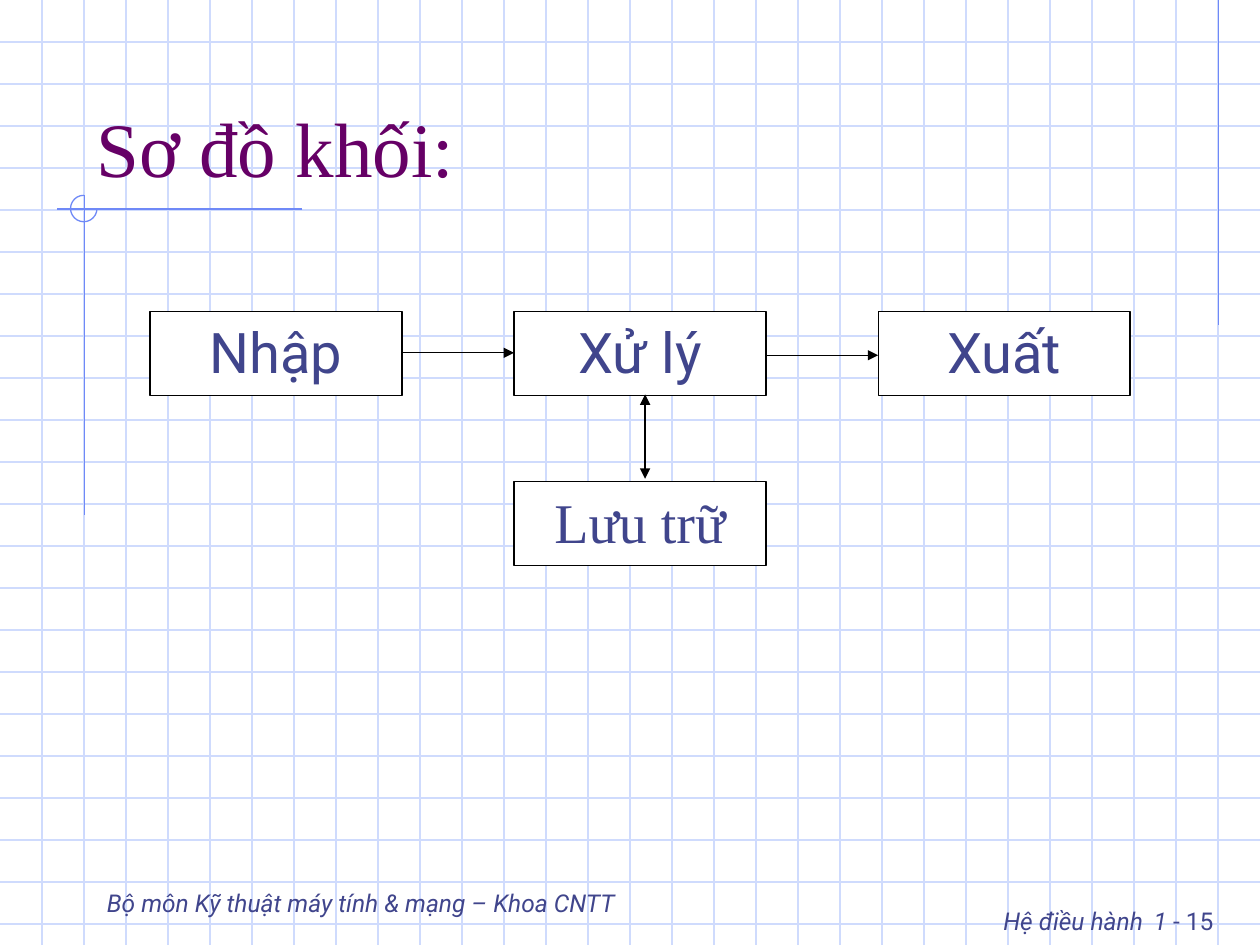
from pptx import Presentation
from pptx.dml.color import RGBColor
from pptx.enum.shapes import MSO_CONNECTOR, MSO_SHAPE
from pptx.enum.text import MSO_ANCHOR, PP_ALIGN
from pptx.oxml.ns import qn
from pptx.util import Inches, Pt
from lxml.etree import SubElement

# Content
WIDTH, HEIGHT, GRID_STEP = 10, 7.5, 1 / 3
GRID, ACCENT, INK, TITLE, BLACK, WHITE = (
    "CFDBFD", "6F89F7", "40458C", "660066", "000000", "FFFFFF")
SANS, SERIF = "Roboto", "Times New Roman"

BOX_WIDTH, BOX_HEIGHT = 2, 0.67
BOX_LEFT, BOX_TOP = 1.19, 2.47
COLUMN_STEP, ROW_STEP = 2.89, 1.35
BOXES = [  # text, column, row, font
    ("Xử lý", 1, 0, SANS),
    ("Nhập", 0, 0, SANS),
    ("Xuất", 2, 0, SANS),
    ("Lưu trữ", 1, 1, SERIF),
]
ARROWS = [  # start, end, arrowheads
    ((3.19, 2.8), (4.08, 2.8), ["tailEnd"]),
    ((6.08, 2.82), (6.97, 2.82), ["tailEnd"]),
    ((5.12, 3.13), (5.12, 3.8), ["headEnd", "tailEnd"]),
]
ACCENT_LINES = [
    ((9.67, 0), (9.67, 2.58)),
    ((2.4, 1.66), (0.45, 1.66)),
    ((0.67, 1.55), (0.67, 4.09)),
]
PAGE_RUNS = [  # text, size, italic
    ("Hệ điều hành", 14, True),
    (" ", 24, False),
    ("1", 14, True),
    (" - 15", 14, False),
]

presentation = Presentation()
presentation.slide_width, presentation.slide_height = Inches(WIDTH), Inches(HEIGHT)
slide = presentation.slides.add_slide(presentation.slide_layouts[6])


def color(value):
    return RGBColor.from_string(value)


def add_line(start, end, line_color, heads=()):
    line = slide.shapes.add_connector(
        MSO_CONNECTOR.STRAIGHT, *(Inches(v) for v in (*start, *end)))
    line.line.color.rgb = color(line_color)
    line.line.width = Pt(0.75)
    properties = line._element.spPr
    outline = properties.find(qn("a:ln"))
    for head in heads:
        SubElement(outline, qn(f"a:{head}"), type="triangle")
    SubElement(properties, qn("a:effectLst"))


def add_shape(kind, left, top, width, height, line_color):
    shape = slide.shapes.add_shape(
        kind, *(Inches(v) for v in (left, top, width, height)))
    shape.shadow.inherit = False
    shape.line.color.rgb = color(line_color)
    shape.line.width = Pt(0.75)
    return shape


def add_text_box(left, top, width, height):
    return slide.shapes.add_textbox(*(Inches(v) for v in (left, top, width, height)))


def set_text(shape, text, size, font_name, text_color, align=PP_ALIGN.LEFT,
             anchor=MSO_ANCHOR.TOP, italic=False):
    frame = shape.text_frame
    frame.word_wrap = True
    frame.vertical_anchor = anchor
    paragraph = frame.paragraphs[0]
    paragraph.text = text
    paragraph.alignment = align
    font = paragraph.font
    font.size, font.name, font.italic = Pt(size), font_name, italic
    font.color.rgb = color(text_color)
    return paragraph


# Background grid
for row in range(1, 23):
    add_line((0, row * GRID_STEP), (WIDTH, row * GRID_STEP), GRID)
for column in range(1, 30):
    add_line((column * GRID_STEP, 0), (column * GRID_STEP, HEIGHT), GRID)

# Accent lines and three-quarter circle
for start, end in ACCENT_LINES:
    add_line(start, end, ACCENT)
arc = add_shape(MSO_SHAPE.ARC, 0.56, 1.55, 0.21, 0.21, ACCENT)
arc.fill.background()
arc.adjustments[0], arc.adjustments[1] = 0, 162  # 0 to 270 degrees

# Footer and page number
page_box = add_text_box(6.83, 7, 2.9, 0.5)
page_paragraph = set_text(page_box, "", 14, SANS, INK, align=PP_ALIGN.RIGHT)
for text, size, italic in PAGE_RUNS:
    run = page_paragraph.add_run()
    run.text = text
    run.font.size, run.font.italic = Pt(size), italic
set_text(add_text_box(0.75, 6.83, 5.58, 0.5),
         "Bộ môn Kỹ thuật máy tính & mạng – Khoa CNTT", 14, SANS, INK,
         anchor=MSO_ANCHOR.BOTTOM, italic=True)

# Title
set_text(add_text_box(0.67, 0.33, 8.5, 1.25), "Sơ đồ khối:", 44, SERIF, TITLE,
         anchor=MSO_ANCHOR.BOTTOM)

# Block diagram
for text, column, row, font_name in BOXES:
    box = add_shape(MSO_SHAPE.RECTANGLE, BOX_LEFT + column * COLUMN_STEP,
                    BOX_TOP + row * ROW_STEP, BOX_WIDTH, BOX_HEIGHT, BLACK)
    box.fill.solid()
    box.fill.fore_color.rgb = color(WHITE)
    set_text(box, text, 32, font_name, INK, align=PP_ALIGN.CENTER)
for start, end, heads in ARROWS:
    add_line(start, end, BLACK, heads)

presentation.save("out.pptx")
